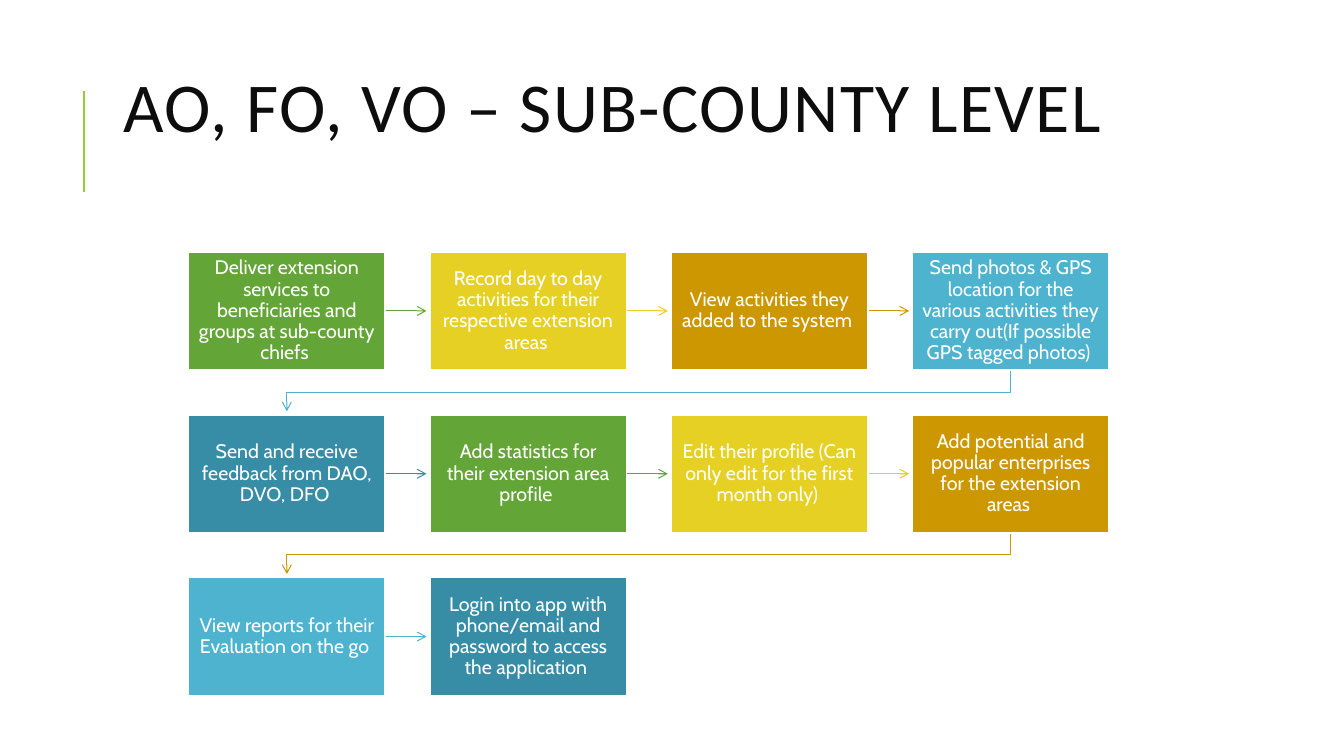
from lxml.etree import SubElement
from pptx import Presentation
from pptx.dml.color import RGBColor
from pptx.enum.shapes import MSO_CONNECTOR, MSO_SHAPE
from pptx.enum.text import MSO_ANCHOR, MSO_AUTO_SIZE, PP_ALIGN
from pptx.oxml.ns import qn
from pptx.util import Inches, Pt

WHITE = RGBColor(0xFF, 0xFF, 0xFF)
TITLE_BLACK = RGBColor(0x0D, 0x0D, 0x0D)
ACCENT_GREEN = RGBColor(0x99, 0xCB, 0x38)
STEP_COLORS = [
    RGBColor(0x63, 0xA5, 0x37),
    RGBColor(0xE6, 0xD0, 0x24),
    RGBColor(0xCC, 0x97, 0x00),
    RGBColor(0x4E, 0xB3, 0xCF),
    RGBColor(0x37, 0x8D, 0xA6),
]

TITLE = "AO, FO, VO – SUB-COUNTY LEVEL"
# The space after each text shifts its centred last line slightly.
STEPS = [
    "Deliver extension services to beneficiaries and groups at sub-county chiefs ",
    "Record day to day activities for their respective extension areas ",
    "View activities they added to the system ",
    "Send photos & GPS location for the various activities they carry out"
    "(If possible GPS tagged photos) ",
    "Send and receive feedback from DAO, DVO, DFO ",
    "Add statistics for their extension area profile ",
    "Edit their profile (Can only edit for the first month only) ",
    "Add potential and popular enterprises for the extension areas ",
    "View reports for their Evaluation on the go ",
    "Login into app with phone/email and password to access the application ",
]

COLUMNS = 4
GRID_LEFT, GRID_TOP = 1.87, 2.5
BOX_WIDTH, BOX_HEIGHT = 1.95, 1.17
COLUMN_STEP = (9.05 - GRID_LEFT) / 3
ROW_STEP = (5.73 - GRID_TOP) / 2
ARROW_LENGTH = 0.41
BEND_DROP = 0.22


def box_position(index):
    row, column = divmod(index, COLUMNS)
    return GRID_LEFT + column * COLUMN_STEP, GRID_TOP + row * ROW_STEP


def add_run(paragraph, text, font_name, size, color):
    run = paragraph.add_run()
    run.text = text
    run.font.name = font_name
    run.font.size = Pt(size)
    run.font.color.rgb = color
    return run


def format_title(title):
    title.left, title.top = Inches(1.12), Inches(0.64)
    title.width, title.height = Inches(10.63), Inches(1.64)
    frame = title.text_frame
    frame.auto_size = MSO_AUTO_SIZE.NONE
    frame.word_wrap = True
    frame.vertical_anchor = MSO_ANCHOR.TOP
    frame.margin_top = Inches(0.14)
    paragraph = frame.paragraphs[0]
    paragraph.alignment = PP_ALIGN.LEFT
    paragraph.line_spacing = 0.8
    run = add_run(paragraph, TITLE, "Calibri", 50, TITLE_BLACK)
    run.font._element.set("spc", "100")


def add_line(slide, start, end, color, width):
    line = slide.shapes.add_connector(
        MSO_CONNECTOR.STRAIGHT, *map(Inches, start + end))
    line.line.color.rgb = color
    line.line.width = Pt(width)
    SubElement(line._element.spPr, qn("a:effectLst"))
    return line


def add_arrowhead(shape):
    SubElement(shape.line._get_or_add_ln(), qn("a:tailEnd"), type="arrow")


def add_row_arrow(slide, left, top, color):
    """Arrow from the box at left, top to its right neighbour."""
    start_x = left + BOX_WIDTH
    y = top + BOX_HEIGHT / 2
    add_arrowhead(add_line(slide, (start_x, y), (start_x + ARROW_LENGTH, y), color, 0.75))


def add_wrap_arrow(slide, left, top, color):
    """Bent arrow from the last box of a row to the first box of the next."""
    start_x, end_x = left + BOX_WIDTH / 2, GRID_LEFT + BOX_WIDTH / 2
    start_y = top + BOX_HEIGHT
    bend_y = start_y + BEND_DROP
    builder = slide.shapes.build_freeform(Inches(start_x), Inches(start_y))
    corners = [(start_x, bend_y), (end_x, bend_y), (end_x, start_y + ARROW_LENGTH)]
    builder.add_line_segments([(Inches(x), Inches(y)) for x, y in corners], close=False)
    arrow = builder.convert_to_shape()
    arrow.shadow.inherit = False
    arrow.fill.background()
    arrow.line.color.rgb = color
    arrow.line.width = Pt(0.75)
    add_arrowhead(arrow)


def add_step_box(slide, left, top, text, color):
    box = slide.shapes.add_shape(
        MSO_SHAPE.RECTANGLE, *map(Inches, (left, top, BOX_WIDTH, BOX_HEIGHT)))
    box.shadow.inherit = False
    box.fill.solid()
    box.fill.fore_color.rgb = color
    box.line.color.rgb = WHITE
    box.line.width = Pt(1.25)
    frame = box.text_frame
    frame.word_wrap = True
    frame.vertical_anchor = MSO_ANCHOR.MIDDLE
    frame.margin_left = frame.margin_right = Inches(0.1)
    frame.margin_top = frame.margin_bottom = Inches(0.1)
    paragraph = frame.paragraphs[0]
    paragraph.alignment = PP_ALIGN.CENTER
    paragraph.line_spacing = 0.9
    add_run(paragraph, text, "Cabin", 14, WHITE)


def main():
    presentation = Presentation()
    presentation.slide_width, presentation.slide_height = Inches(13.33), Inches(7.5)
    slide = presentation.slides.add_slide(presentation.slide_layouts[5])
    add_line(slide, (0.83, 1.9), (0.83, 0.9), ACCENT_GREEN, 1.5)
    format_title(slide.shapes.title)

    for index, text in enumerate(STEPS):
        left, top = box_position(index)
        color = STEP_COLORS[index % len(STEP_COLORS)]
        if index < len(STEPS) - 1:
            ends_row = index % COLUMNS == COLUMNS - 1
            add_arrow = add_wrap_arrow if ends_row else add_row_arrow
            add_arrow(slide, left, top, color)
        add_step_box(slide, left, top, text, color)

    presentation.save("out.pptx")


if __name__ == "__main__":
    main()
